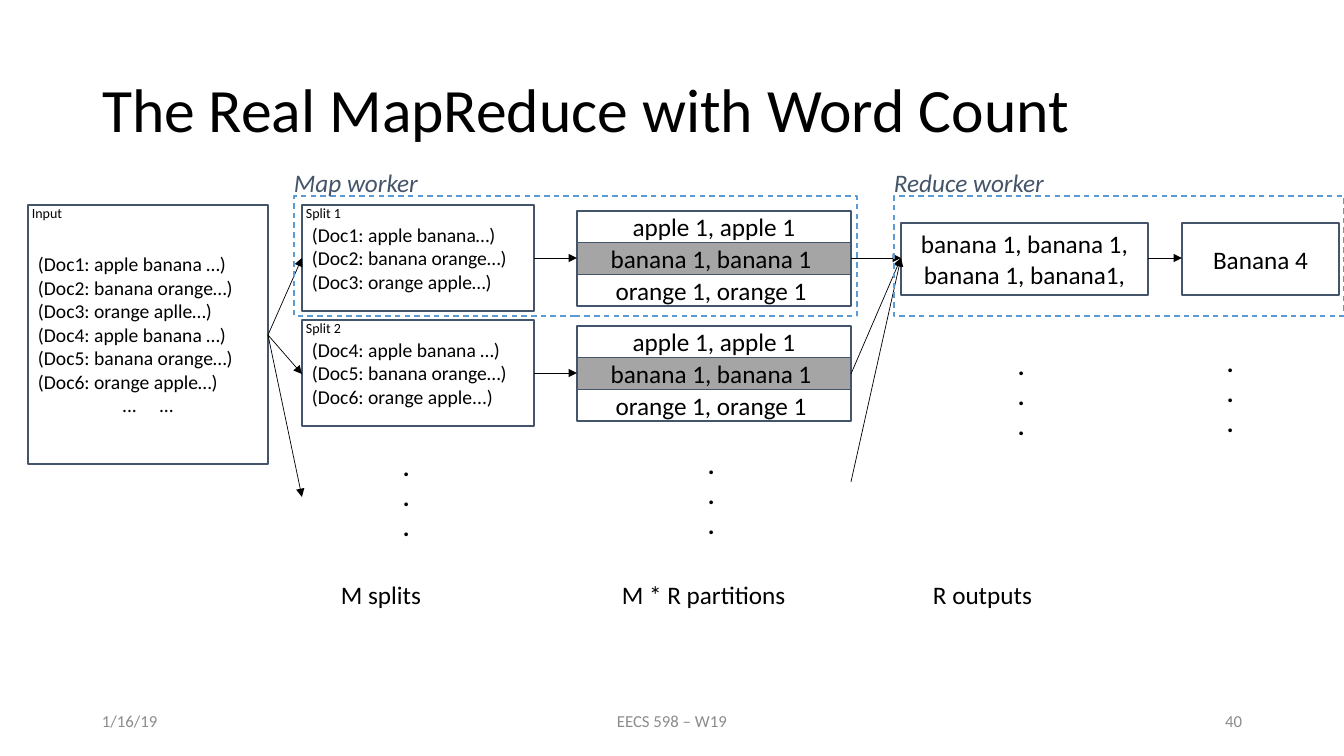
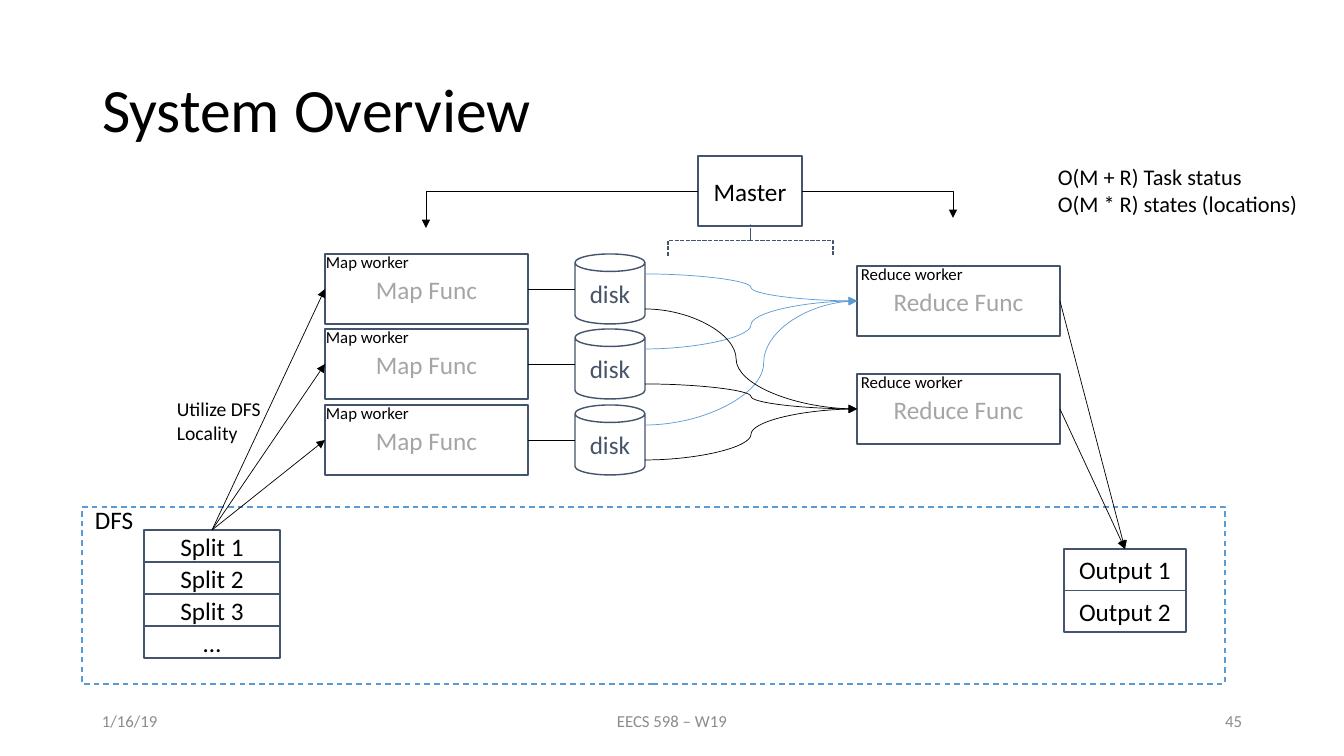
import pptx
import pptx.dml.color
import pptx.enum.dml
import pptx.enum.shapes
import pptx.enum.text
import pptx.oxml.ns
import pptx.util
from lxml import etree

PX = 914400 / 100.8
BLACK, SLATE, GREY, BLUE, FOOTER = "000000", "44546A", "A5A5A5", "5B9BD5", "8C8C8C"
SHAPES = pptx.enum.shapes.MSO_SHAPE
CONNECTORS = pptx.enum.shapes.MSO_CONNECTOR
DASHES = pptx.enum.dml.MSO_LINE
ALIGN = pptx.enum.text.PP_ALIGN
ANCHOR = pptx.enum.text.MSO_ANCHOR


def px(*lengths):
    """Turn pixel lengths into EMU."""
    return [round(length * PX) for length in lengths]


def rgb(colour):
    """Turn a hex string into a colour."""
    return pptx.dml.color.RGBColor.from_string(colour)


def apply(target, formats):
    """Set each attribute named in a dict of format values."""
    for attribute, value in formats.items():
        setattr(target, attribute, value)


def format_font(font, size, colour, **formats):
    """Give a font its face, size, colour and further formats."""
    apply(font, {"name": "Calibri", "size": pptx.util.Pt(size), **formats})
    font.color.rgb = rgb(colour)


def write(shape, lines, size=18, colour=BLACK, align=ALIGN.LEFT,
          anchor=ANCHOR.TOP, spacing=None, **formats):
    """Fill a shape with one paragraph per line."""
    frame = shape.text_frame
    apply(frame, {"word_wrap": True, "vertical_anchor": anchor, "text": "\n".join(lines)})
    for paragraph in frame.paragraphs:
        apply(paragraph, {"alignment": align, "line_spacing": spacing})
        for run in paragraph.runs:
            format_font(run.font, size, colour, **formats)


def label(slide, box, lines, **formats):
    """Place free text in a box."""
    write(slide.shapes.add_textbox(*px(*box)), lines, **formats)


def outline(slide, box, preset=SHAPES.RECTANGLE, line=SLATE, dash=None, fill=None):
    """Place a thin outlined preset shape."""
    shape = slide.shapes.add_shape(preset, *px(*box))
    shape.shadow.inherit = False
    if fill:
        shape.fill.solid()
        shape.fill.fore_color.rgb = rgb(fill)
    else:
        shape.fill.background()
    apply(shape.line, {"width": pptx.util.Pt(1), "dash_style": dash})
    shape.line.color.rgb = rgb(line)
    return shape


def node(slide, box, text, colour=BLACK, **formats):
    """Place an outlined shape with centred text."""
    write(outline(slide, box, **formats), [text], colour=colour,
          align=ALIGN.CENTER, anchor=ANCHOR.MIDDLE)


def connect(slide, start, end, kind=CONNECTORS.STRAIGHT, colour=BLACK, bend=None, arrow=True):
    """Draw a thin connector, with an arrowhead at its end by default."""
    connector = slide.shapes.add_connector(kind, *px(*start, *end))
    connector.line.width = pptx.util.Pt(0.5)
    connector.line.color.rgb = rgb(colour)
    properties = connector.element.spPr
    qn = pptx.oxml.ns.qn
    if arrow:
        etree.SubElement(properties.find(qn("a:ln")), qn("a:tailEnd"), type="triangle")
    if bend is not None:
        guides = properties.find(qn("a:prstGeom")).find(qn("a:avLst"))
        etree.SubElement(guides, qn("a:gd"), name="adj1", fmla=f"val {round(bend * 100000)}")
    etree.SubElement(properties, qn("a:effectLst"))


def stack(slide, box, rows, shaded=None):
    """Divide a box into equal text rows, one of them shaded."""
    left, top, width, height = box
    row_height = height / len(rows)
    for index, row in enumerate(rows):
        node(slide, (left, top + index * row_height, width, row_height), row,
             fill=GREY if index == shaded else None)


def document(slide, box, name, lines):
    """Place a box of document lines with a small name in its corner."""
    left, top, _, _ = box
    page = outline(slide, box)
    write(page, lines, size=14, anchor=ANCHOR.MIDDLE)
    label(slide, (left - 6, top - 5, 90, 27), [name], size=10)
    return page


def ellipses(page):
    """Add two centred ellipses, set apart by letter spacing."""
    paragraph = page.text_frame.add_paragraph()
    paragraph.alignment = ALIGN.CENTER
    for text, gap in (("...", 0), (" ", 1260), ("...", 0)):
        run = paragraph.add_run()
        run.text = text
        format_font(run.font, 14, BLACK)
        run.font._element.set("spc", str(gap))


def worker_frame(slide, box, name):
    """Place a dashed frame with its worker's name above."""
    left, top, _, _ = box
    outline(slide, box, line=BLUE, dash=DASHES.DASH)
    label(slide, (left - 10, top - 34, 176, 40), [name], colour=SLATE, italic=True)


def map_lane(slide, box, name, lines):
    """Place a split, its partitions and the arrow between them."""
    left, top, width, height = box
    middle = top + height / 2
    document(slide, (left, top, 232, height), name, lines)
    stack(slide, (left + width - 274, top + 6, 274, 95),
          ["apple 1, apple 1", "banana 1, banana 1 ", "orange 1, orange 1 "], shaded=1)
    connect(slide, (left + 232, middle), (left + width - 274, middle))


def func_box(slide, box, kind, shift):
    """Place a function box with its worker's name in the corner."""
    left, top, _, _ = box
    node(slide, box, f"{kind} Func", colour=GREY)
    label(slide, (left - shift, top - 7, 129, 30), [f"{kind} worker"], size=12)


def map_worker(slide, box):
    """Place a map function joined to its disk."""
    left, top, width, height = box
    disk_left, middle = left + width - height, top + height / 2
    func_box(slide, (left, top, 203, height), "Map", 9)
    node(slide, (disk_left, top, height, height), "disk", colour=SLATE, preset=SHAPES.CAN)
    connect(slide, (left + 203, middle), (disk_left, middle), arrow=False)


def master(slide, box):
    """Place the master, its brace and its arrows to the workers."""
    left, top, width, height = box
    middle = top + height / 2
    node(slide, box, "Master")
    brace = outline(slide, (left + 37, top + 2, 31, 165), preset=SHAPES.RIGHT_BRACE,
                    dash=DASHES.SQUARE_DOT)
    brace.rotation = 270
    brace.adjustments[0] = 0
    for start, reach, drop in ((left, -272, 37), (left + width, 151, 27)):
        connect(slide, (start, middle), (start + reach, middle + drop),
                kind=CONNECTORS.ELBOW, bend=1)


def file_system(slide, box):
    """Place the file system with its splits and outputs."""
    left, top, width, height = box
    stack(slide, (left + 62, top + 23, 136, 128), ["Split 1", "Split 2", "Split 3", "…"])
    stack(slide, (left + 982, top + 42, 122, 83), ["Output 1", "Output 2"])
    outline(slide, box, line=BLUE, dash=DASHES.DASH)
    label(slide, (left + 3, top - 8, 64, 40), ["DFS"])


def titled_slide(deck, title, number):
    """Add a slide with the shared title style and footer."""
    slide = deck.slides.add_slide(deck.slide_layouts[5])
    heading = slide.shapes.title
    apply(heading, dict(zip(("left", "top", "width", "height"), px(92, 40, 1160, 146))))
    write(heading, [title], size=44, anchor=ANCHOR.MIDDLE, spacing=0.9)
    for left, width, text, align in ((92, 302, "1/16/19", ALIGN.LEFT),
                                     (445, 454, "EECS 598 – W19", ALIGN.CENTER),
                                     (950, 302, str(number), ALIGN.RIGHT)):
        label(slide, (left, 701, width, 40), [text], size=12, colour=FOOTER,
              align=align, anchor=ANCHOR.MIDDLE)
    return slide


def word_count_slide(deck):
    """Build the word count data flow."""
    slide = titled_slide(deck, "The Real MapReduce with Word Count", 40)
    fruits = ["apple banana …", "banana orange…", "orange aplle…",
              "apple banana …", "banana orange…", "orange apple…"]
    page = document(slide, (28, 205, 240, 259), "Input",
                    [f"(Doc{index}: {fruit})" for index, fruit in enumerate(fruits, 1)])
    ellipses(page)
    map_lane(slide, (302, 205, 549, 106), "Split 1",
             ["(Doc1: apple banana…)", "(Doc2: banana orange…)", "(Doc3: orange apple…)"])
    map_lane(slide, (302, 320, 549, 106), "Split 2",
             ["(Doc4: apple banana …)", "(Doc5: banana orange…)", "(Doc6: orange apple...)"])
    node(slide, (901, 223, 247, 72), "banana 1, banana 1, banana 1, banana1,")
    node(slide, (1182, 223, 157, 72), "Banana 4")
    for left, top in ((393, 446), (698, 444), (1008, 345), (1217, 342)):
        label(slide, (left, top, 32, 102), ["."] * 3, bold=True)
    for split_y in (258, 374, 497):
        connect(slide, (268, 335), (302, split_y))
    for partition_y in (258, 374, 482):
        connect(slide, (851, partition_y), (901, 258))
    connect(slide, (1148, 258), (1182, 258))
    worker_frame(slide, (294, 196, 563, 120), "Map worker")
    worker_frame(slide, (894, 196, 450, 120), "Reduce worker")
    for left, caption in ((331, "M splits"), (612, "M * R partitions"), (923, "R outputs")):
        label(slide, (left, 574, 203, 40), [caption])


def overview_slide(deck):
    """Build the system overview."""
    slide = titled_slide(deck, "System Overview", 45)
    map_tops, reduce_tops = (254, 329, 405), (266, 374)
    file_system(slide, (82, 507, 1143, 177))
    for top in map_tops:
        map_worker(slide, (325, top, 320, 70))
        connect(slide, (212, 530), (325, top + 35))
    for top in reduce_tops:
        func_box(slide, (857, top, 203, 70), "Reduce", 6)
        connect(slide, (1060, top + 35), (1125, 549))
    flows = ((20, BLUE, (0.5, 0.5, 0.56)), (55, BLACK, (0.43, 0.5, 0.5)))
    for reduce_top, (offset, colour, bends) in zip(reduce_tops, flows):
        for map_top, bend in zip(map_tops, bends):
            connect(slide, (645, map_top + offset), (857, reduce_top + 35),
                    kind=CONNECTORS.CURVE, colour=colour, bend=bend)
    master(slide, (698, 156, 104, 70))
    label(slide, (1048, 158, 271, 64),
          ["O(M + R) Task status", "O(M * R) states (locations)"], size=16)
    label(slide, (167, 392, 137, 57), ["Utilize DFS Locality"], size=14)


def main():
    """Build and save the deck."""
    deck = pptx.Presentation()
    apply(deck, dict(zip(("slide_width", "slide_height"), px(1344, 756))))
    word_count_slide(deck)
    overview_slide(deck)
    deck.save("out.pptx")


if __name__ == "__main__":
    main()
